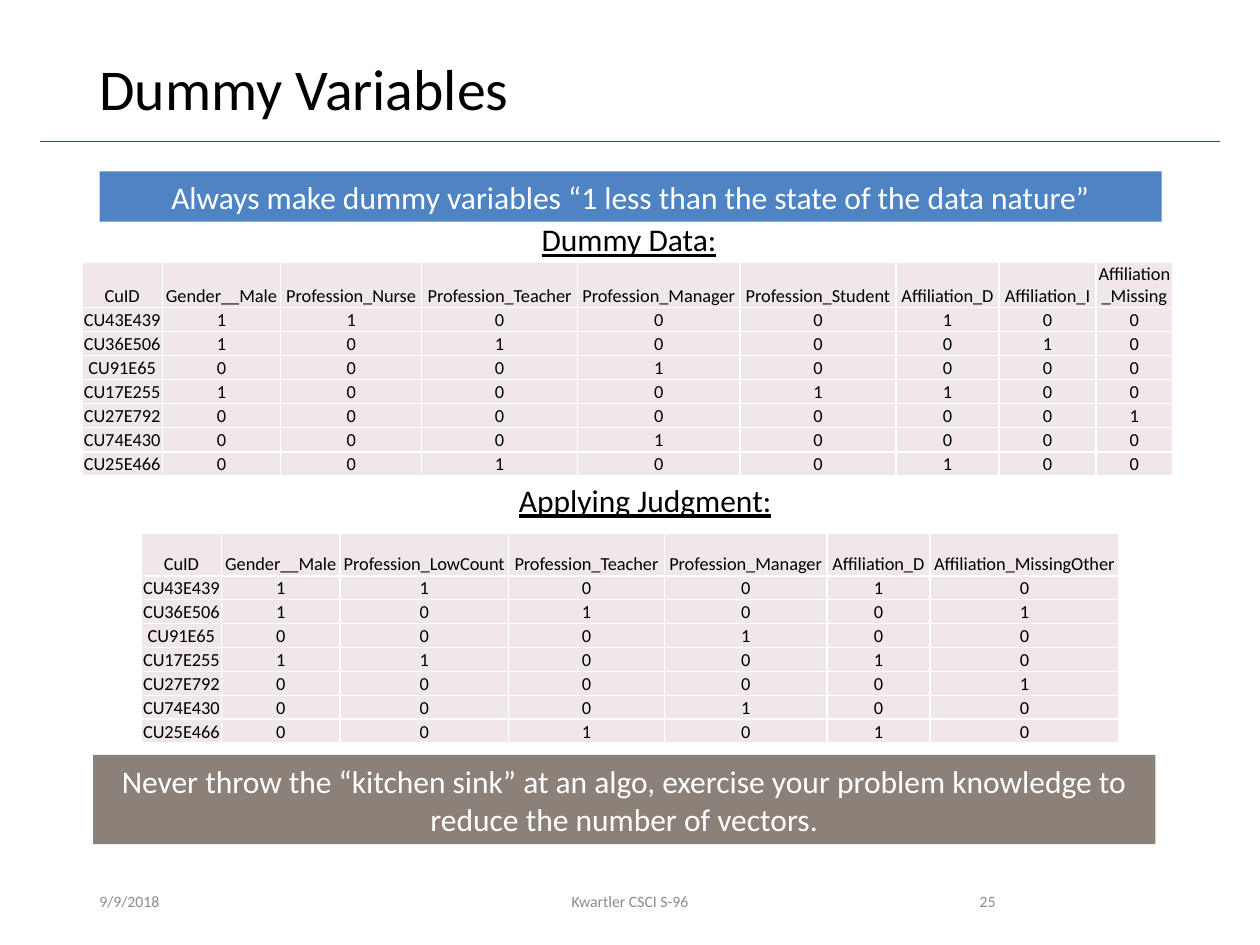
from lxml import etree
from pptx import Presentation
from pptx import util as u
from pptx.dml.color import RGBColor
from pptx.enum import shapes, text
from pptx.oxml.ns import qn

COLORS = {
    "black": "000000", "white": "FFFFFF", "grey": "8C8C8C", "rule": "A51C30",
    "blue": "4E84C4", "taupe": "8C8179", "cell": "F0E8E8",
}
FONT = "Calibri"
COLUMNS, ROWS = 100, 75
WIDTH, HEIGHT = u.Inches(10), u.Inches(7.5)
ALIGN = text.PP_ALIGN
MIDDLE = text.MSO_ANCHOR.MIDDLE
CLIENTS = ["CU43E439", "CU36E506", "CU91E65", "CU17E255", "CU27E792", "CU74E430", "CU25E466"]

DUMMY_COLUMNS = [
    ("CuID", 0.64, CLIENTS),
    ("Gender__Male", 0.94, "1101000"),
    ("Profession_Nurse", 1.12, "1000000"),
    ("Profession_Teacher", 1.24, "0100001"),
    ("Profession_Manager", 1.29, "0010010"),
    ("Profession_Student", 1.24, "0001000"),
    ("Affiliation_D", 0.82, "1001001"),
    ("Affiliation_I", 0.77, "0100000"),
    ("Affiliation_Missing", 0.61, "0000100"),
]
JUDGED_COLUMNS = [
    ("CuID", 0.64, CLIENTS),
    ("Gender__Male", 0.94, "1101000"),
    ("Profession_LowCount", 1.34, "1001000"),
    ("Profession_Teacher", 1.24, "0100001"),
    ("Profession_Manager", 1.29, "0010010"),
    ("Affiliation_D", 0.82, "1001001"),
    ("Affiliation_MissingOther", 1.5, "0100100"),
]


def color(name):
    return RGBColor.from_string(COLORS[name])


def grid(box):
    left, top, width, height = box
    return (int(WIDTH * left / COLUMNS), int(HEIGHT * top / ROWS),
            int(WIDTH * width / COLUMNS), int(HEIGHT * height / ROWS))


def write(frame, words, size, ink, align, underline=False):
    paragraph = frame.paragraphs[0]
    paragraph.alignment = align
    run = paragraph.add_run()
    run.text = words
    font = run.font
    font.name, font.size, font.color.rgb = FONT, u.Pt(size), color(ink)
    if underline:
        font.underline = True
    return paragraph


def add_label(slide, box, words, size, ink="black", align=ALIGN.LEFT, anchor=MIDDLE):
    frame = slide.shapes.add_textbox(*grid(box)).text_frame
    frame.word_wrap = True
    frame.vertical_anchor = anchor
    return write(frame, words, size, ink, align)


def add_header(slide, box):
    left, top, width, height = box
    title = add_label(slide, (left + 3.7, top, width - 7.4, 6.5), "Dummy Variables", 33)
    title.line_spacing = 0.9
    x, y, length, _ = grid((left, top + height, width, 0))
    rule = slide.shapes.add_connector(shapes.MSO_CONNECTOR.STRAIGHT, x, y, x + length, y)
    rule.line.color.rgb = color("rule")
    rule.line.width = u.Pt(0.5)
    etree.SubElement(rule._element.spPr, qn("a:effectLst"))


def add_banner(slide, box, words, fill):
    banner = slide.shapes.add_shape(shapes.MSO_SHAPE.RECTANGLE, *grid(box))
    banner.shadow.inherit = False
    banner.fill.solid()
    banner.fill.fore_color.rgb = color(fill)
    banner.line.fill.background()
    frame = banner.text_frame
    frame.word_wrap = True
    frame.vertical_anchor = MIDDLE
    write(frame, words, 18, "white", ALIGN.CENTER)


def add_heading(slide, box, words):
    frame = slide.shapes.add_textbox(*grid(box)).text_frame
    frame.word_wrap = False
    frame.auto_size = text.MSO_AUTO_SIZE.SHAPE_TO_FIT_TEXT
    write(frame, words, 18, "black", ALIGN.LEFT, underline=True)


def style_cell(cell):
    cell.margin_left = cell.margin_right = cell.margin_top = u.Inches(0.01)
    cell.margin_bottom = 0
    cell.vertical_anchor = text.MSO_ANCHOR.BOTTOM
    properties = cell._tc.get_or_add_tcPr()
    for side in ("a:lnL", "a:lnR", "a:lnT", "a:lnB"):
        border = etree.SubElement(properties, qn(side), w=str(u.Pt(1)))
        fill = etree.SubElement(border, qn("a:solidFill"))
        etree.SubElement(fill, qn("a:srgbClr"), val=COLORS["white"])
    cell.fill.solid()
    cell.fill.fore_color.rgb = color("cell")


def add_data_table(slide, box, columns):
    x, y, width, height = grid(box)
    row_count = len(CLIENTS) + 1
    table = slide.shapes.add_table(row_count, len(columns), x, y, width, height).table
    table.first_row = table.horz_banding = False
    body_height = int(height * 0.19 / 1.67)
    for row in table.rows:
        row.height = body_height
    table.rows[0].height = height - body_height * len(CLIENTS)
    total = sum(weight for _, weight, _ in columns)
    for index, (name, weight, values) in enumerate(columns):
        table.columns[index].width = int(width * weight / total)
        for row_index, value in enumerate([name, *values]):
            cell = table.cell(row_index, index)
            style_cell(cell)
            write(cell.text_frame, value, 10.5, "black", ALIGN.CENTER)


def add_footer(slide, box):
    left, top, width, height = box
    parts = [
        (0, 22.5, "9/9/2018", ALIGN.LEFT),
        (26.2, 33.8, "Kwartler CSCI S-96", ALIGN.CENTER),
        (width - 9.4, 9.4, "25", ALIGN.RIGHT),
    ]
    for offset, part_width, words, align in parts:
        add_label(slide, (left + offset, top, part_width, height), words, 9, "grey", align)


def main():
    presentation = Presentation()
    presentation.slide_width, presentation.slide_height = WIDTH, HEIGHT
    slide = presentation.slides.add_slide(presentation.slide_layouts[6])
    add_header(slide, (3.2, 4, 93.6, 7.2))
    add_banner(slide, (7.9, 13.6, 84.3, 4),
               "Always make dummy variables “1 less than the state of the data nature”", "blue")
    add_heading(slide, (42, 17, 16.1, 4), "Dummy Data:")
    add_data_table(slide, (6.5, 20.8, 86.6, 16.8), DUMMY_COLUMNS)
    add_heading(slide, (40.2, 37.7, 22.9, 4), "Applying Judgment:")
    add_data_table(slide, (11.2, 42.3, 77.6, 16.7), JUDGED_COLUMNS)
    add_banner(slide, (7.4, 59.9, 84.3, 7.1),
               "Never throw the “kitchen sink” at an algo, exercise your problem knowledge "
               "to reduce the number of vectors.", "taupe")
    add_footer(slide, (6.9, 69.5, 73.1, 4))
    presentation.save("out.pptx")


if __name__ == "__main__":
    main()
